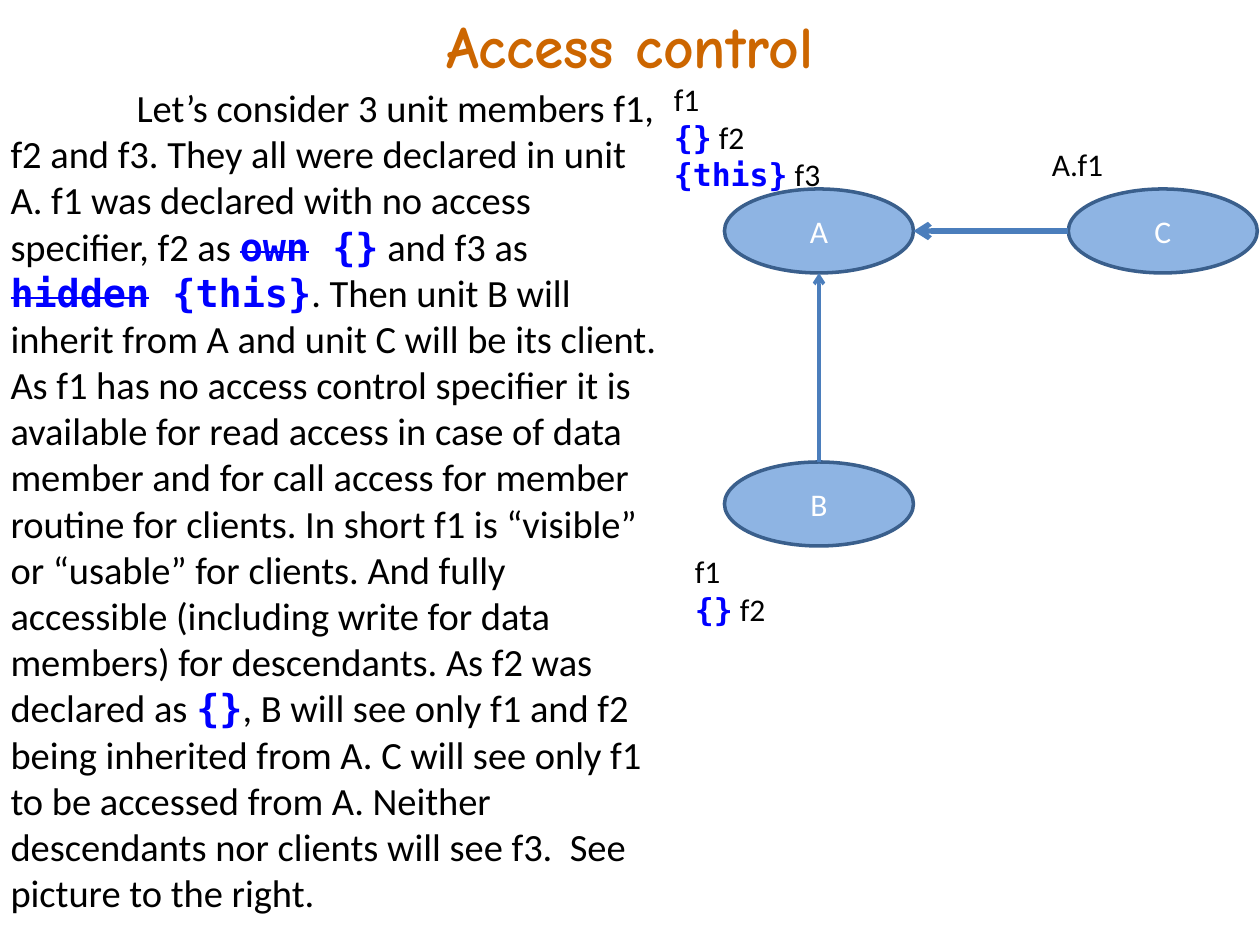
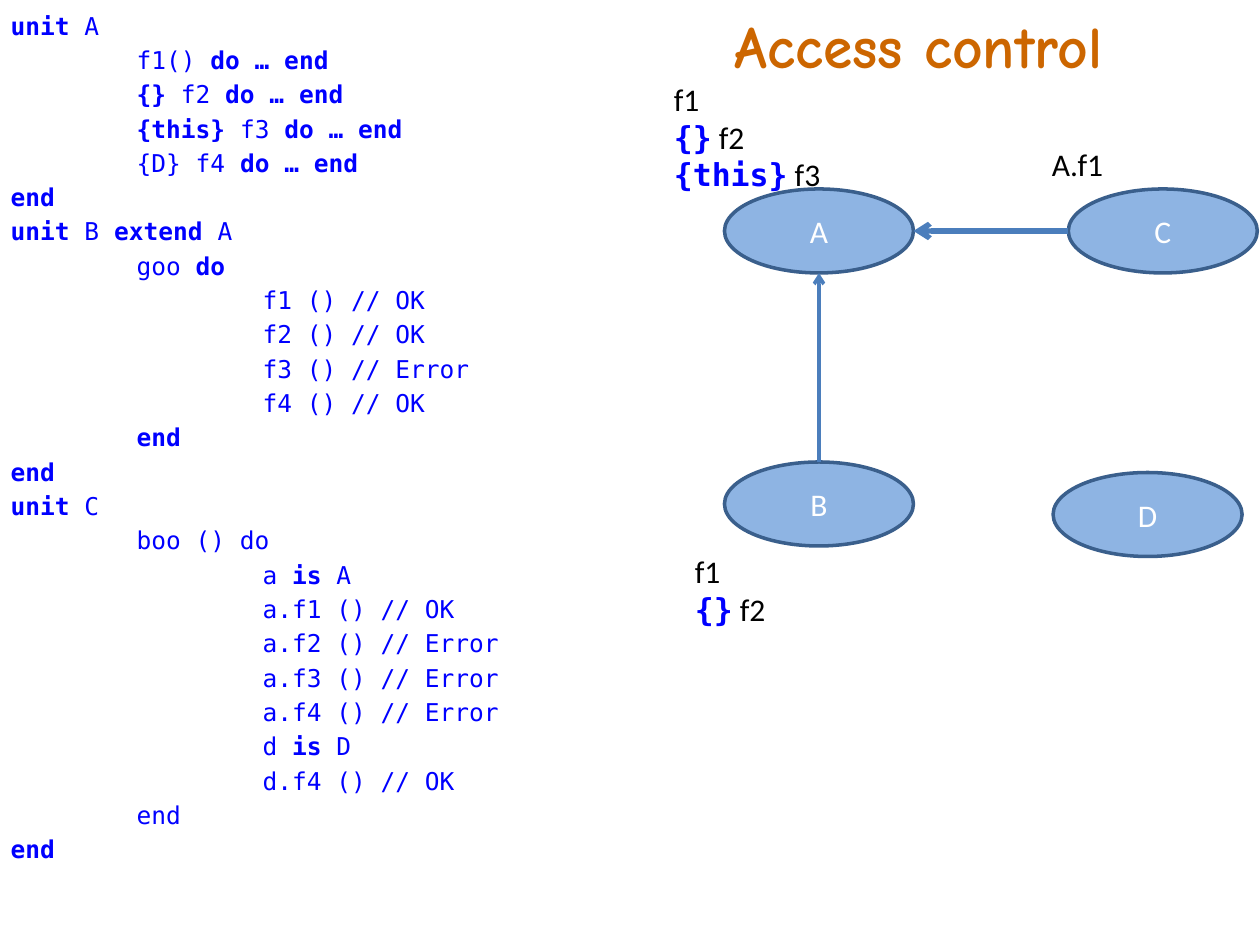
from dataclasses import dataclass
from lxml.etree import SubElement
from pptx import Presentation
from pptx.dml.color import RGBColor
from pptx.enum.shapes import MSO_CONNECTOR as Connector, MSO_SHAPE as Preset
from pptx.enum.text import MSO_ANCHOR as Anchor, MSO_AUTO_SIZE as AutoSize, PP_ALIGN as Align
from pptx.oxml.ns import qn
from pptx.util import Inches, Pt

WIDTH, HEIGHT = Inches(10), Inches(7.5)
COLUMNS, ROWS = 120, 90
INDENT = Inches(1)
COLORS = {"title": "CC6600", "text": "000000", "code": "0000FF", "node": "8EB4E3",
          "outline": "3A5F8C", "arrow": "4B7EBC", "node_text": "FFFFFF"}
SANS, MONO, HAND = "Calibri", "DejaVu Sans Mono", "Comic Neue"


@dataclass(frozen=True)
class Box:
    """A rectangle in grid columns and rows."""
    column: float
    row: float
    columns: float
    rows: float

    def lengths(self) -> tuple[int, int, int, int]:
        """Return left, top, width and height on the slide."""
        return (across(self.column), down(self.row), across(self.columns), down(self.rows))


@dataclass(frozen=True)
class Node:
    """A unit drawn as an ellipse."""
    name: str
    column: float
    row: float
    columns: float = 18
    rows: float = 8

    @property
    def middle(self) -> tuple[float, float]:
        """Return the centre of the ellipse."""
        return self.column + self.columns / 2, self.row + self.rows / 2


@dataclass(frozen=True)
class Label:
    """A list of unit members beside a node."""
    box: Box
    lines: tuple[str, ...]


UNIT_A, UNIT_B = Node("A", 69, 18), Node("B", 69, 44)
UNIT_C, UNIT_D = Node("C", 101.75, 18), Node("D", 100.3, 45)
LABELS = (
    Label(Box(63, 7, 19, 12.1), ("f1", "|{}| f2", "|{this}| f3")),
    Label(Box(65, 52, 19, 8.5), ("f1", "|{}| f2")),
    Label(Box(99, 13.2, 19, 4.8), ("A.f1",)),
)
EXPLANATION = (
    "\tLet’s consider 3 unit members f1, f2 and f3. They all were declared in unit A. "
    "f1 was declared with no access specifier, f2 as |~own|| {}| and f3 as "
    "|~hidden|| {this}|. Then unit B will inherit from A and unit C will be its client. "
    "As f1 has no access control specifier it is available for read access in case of "
    "data member and for call access for member routine for clients. In short f1 is "
    "“visible” or “usable” for clients. And fully accessible (including write for data "
    "members) for descendants. As f2 was declared as |{}|, B will see only f1 and f2 "
    "being inherited from A. C will see only f1 to be accessed from A. Neither "
    "descendants nor clients will see f3.  See picture to the right."
)
LISTING = """|unit |A
\tf1() |do … end|
\t|{} |f2| do … end|
\t|{this} |f3| do … end|
\t{D} f4| do … end|
|end|
|unit| B |extend| A
\tgoo |do|
\t\tf1 () // OK
\t\tf2 () // OK
\t\tf3 () // Error
\t\tf4 () // OK
\t|end|
|end|
|unit |C
\tboo () do
\t\ta |is| A
\t\ta.f1 () // OK
\t\ta.f2 () // Error
\t\ta.f3 () // Error
\t\ta.f4 () // Error
\t\td |is| D
\t\td.f4 () // OK
\tend
|end|"""


def across(columns: float) -> int:
    """Convert grid columns to a length."""
    return round(WIDTH * columns / COLUMNS)


def down(rows: float) -> int:
    """Convert grid rows to a length."""
    return round(HEIGHT * rows / ROWS)


def add_text(paragraph, text: str, *, size: float, font: str = SANS, color: str = "text",
             bold: bool = False, align=None) -> None:
    """Write text, with code keywords between bars and struck ones after a tilde."""
    if align is not None:
        paragraph.alignment = align
    for position, piece in enumerate(text.split("|")):
        if not piece:
            continue
        keyword = position % 2 == 1
        run = paragraph.add_run()
        run.text = piece.lstrip("~")
        run.font.size = Pt(size)
        run.font.name = MONO if keyword else font
        run.font.bold = keyword or bold
        run.font.color.rgb = RGBColor.from_string(COLORS["code" if keyword else color])
        if piece.startswith("~"):
            run.font._element.set("strike", "sngStrike")


def add_lines(frame, lines, **text_format) -> None:
    """Write one paragraph for each line."""
    for index, line in enumerate(lines):
        paragraph = frame.add_paragraph() if index else frame.paragraphs[0]
        add_text(paragraph, line, **text_format)


def place(shape, box: Box) -> None:
    """Move a placeholder to a box."""
    shape.left, shape.top, shape.width, shape.height = box.lengths()


def set_frame(frame, left: float, top: float, right: float, bottom: float) -> None:
    """Set the margins in inches and keep the text at its size."""
    frame.word_wrap, frame.auto_size = True, AutoSize.NONE
    frame.margin_left, frame.margin_top = Inches(left), Inches(top)
    frame.margin_right, frame.margin_bottom = Inches(right), Inches(bottom)


def add_title(slide, box: Box) -> None:
    """Fill the title placeholder."""
    title = slide.shapes.title
    place(title, box)
    set_frame(title.text_frame, 0, 0.05, 0, 0.05)
    title.text_frame.vertical_anchor = Anchor.MIDDLE
    add_text(title.text_frame.paragraphs[0], "Access control", size=34, font=HAND,
             color="title", bold=True, align=Align.CENTER)


def add_body(slide, box: Box, text: str, hanging: bool, **text_format) -> None:
    """Fill the body placeholder, turning leading tabs into indents."""
    body = slide.placeholders[1]
    place(body, box)
    set_frame(body.text_frame, 0, 0, 0.1, 0.05)
    lines = text.split("\n")
    add_lines(body.text_frame, [line.lstrip("\t") for line in lines], **text_format)
    for paragraph, line in zip(body.text_frame.paragraphs, lines):
        indent = INDENT * (len(line) - len(line.lstrip("\t")))
        properties = paragraph._p.get_or_add_pPr()
        properties.set("marL", str(indent if hanging else 0))
        properties.set("indent", str(0 if hanging else indent))
        SubElement(properties, qn("a:buNone"))


def add_node(shapes, node: Node) -> None:
    """Draw a unit."""
    box = Box(node.column, node.row, node.columns, node.rows)
    ellipse = shapes.add_shape(Preset.OVAL, *box.lengths())
    ellipse.shadow.inherit = False
    ellipse.fill.solid()
    ellipse.fill.fore_color.rgb = RGBColor.from_string(COLORS["node"])
    ellipse.line.color.rgb = RGBColor.from_string(COLORS["outline"])
    ellipse.line.width = Pt(2)
    ellipse.text_frame.vertical_anchor = Anchor.MIDDLE
    add_text(ellipse.text_frame.paragraphs[0], node.name, size=18, color="node_text",
             align=Align.CENTER)


def add_arrow(shapes, start: tuple[float, float], end: tuple[float, float],
              width: float) -> None:
    """Draw an arrow between two grid points."""
    arrow = shapes.add_connector(Connector.STRAIGHT, across(start[0]), down(start[1]),
                                 across(end[0]), down(end[1]))
    arrow.line.color.rgb = RGBColor.from_string(COLORS["arrow"])
    arrow.line.width = Pt(width)
    SubElement(arrow.line._get_or_add_ln(), qn("a:tailEnd"), type="arrow")
    SubElement(arrow._element.spPr, qn("a:effectLst"))


def add_label(shapes, label: Label) -> None:
    """Write the members visible in a unit."""
    frame = shapes.add_textbox(*label.box.lengths()).text_frame
    frame.word_wrap, frame.auto_size = True, AutoSize.SHAPE_TO_FIT_TEXT
    add_lines(frame, label.lines, size=18)


def add_diagram(slide) -> None:
    """Draw the units, their relations and their members as one group."""
    shapes = slide.shapes.add_group_shape().shapes
    for node in (UNIT_A, UNIT_C, UNIT_B):
        add_node(shapes, node)
    center, middle = UNIT_A.middle
    add_arrow(shapes, (center, UNIT_B.row), (center, UNIT_A.row + UNIT_A.rows), 2)
    add_arrow(shapes, (UNIT_C.column, middle), (UNIT_A.column + UNIT_A.columns, middle), 3)
    for label in LABELS:
        add_label(shapes, label)


def add_slide(presentation, title_box: Box, body_box: Box, text: str, hanging: bool,
              **text_format):
    """Add a slide with title, body and diagram."""
    slide = presentation.slides.add_slide(presentation.slide_layouts[1])
    add_title(slide, title_box)
    add_body(slide, body_box, text, hanging, **text_format)
    add_diagram(slide)
    return slide


def main() -> None:
    """Build the presentation."""
    presentation = Presentation()
    presentation.slide_width, presentation.slide_height = WIDTH, HEIGHT
    add_slide(presentation, Box(-3, 0, 126, 8.6), Box(1, 8, 63, 80), EXPLANATION,
              hanging=False, size=22)
    listing_slide = add_slide(presentation, Box(52, 0, 71, 8.6), Box(1, 1, 66, 82), LISTING,
                              hanging=True, size=14, font=MONO, color="code")
    add_node(listing_slide.shapes, UNIT_D)
    presentation.save("out.pptx")


if __name__ == "__main__":
    main()
